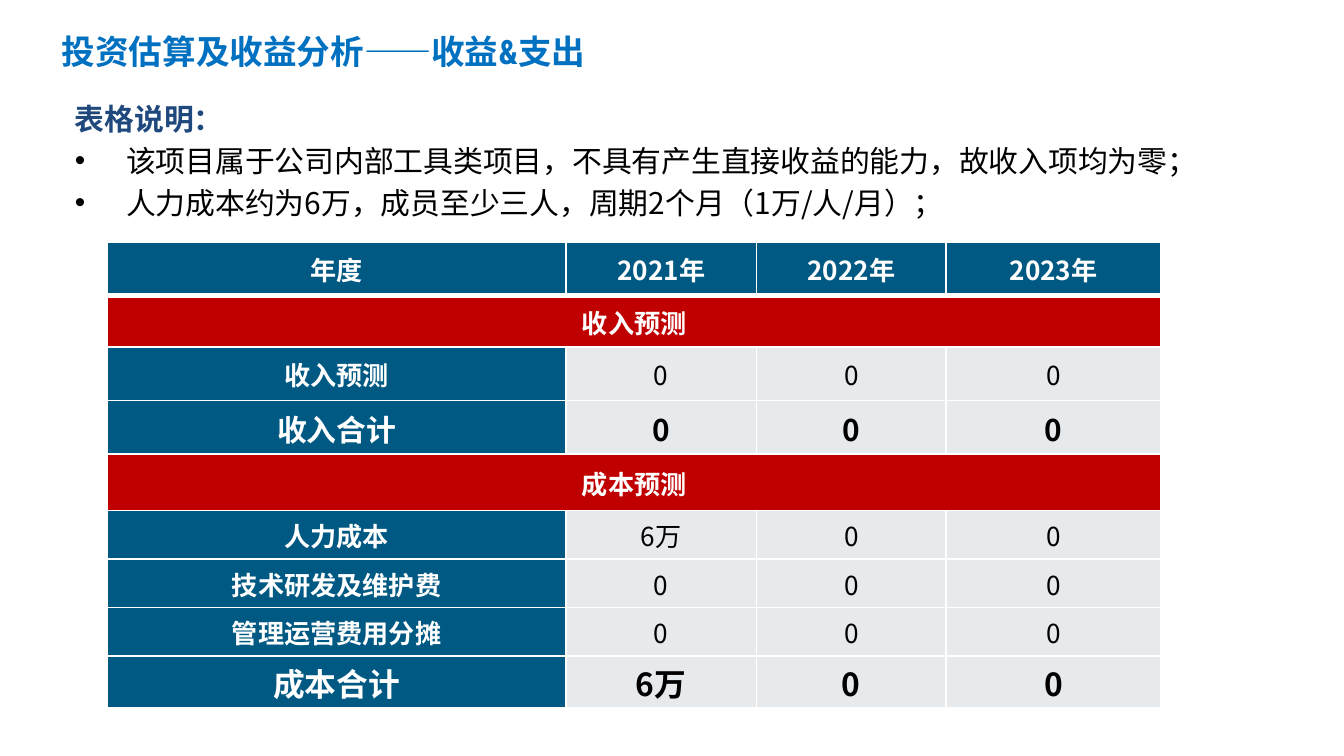
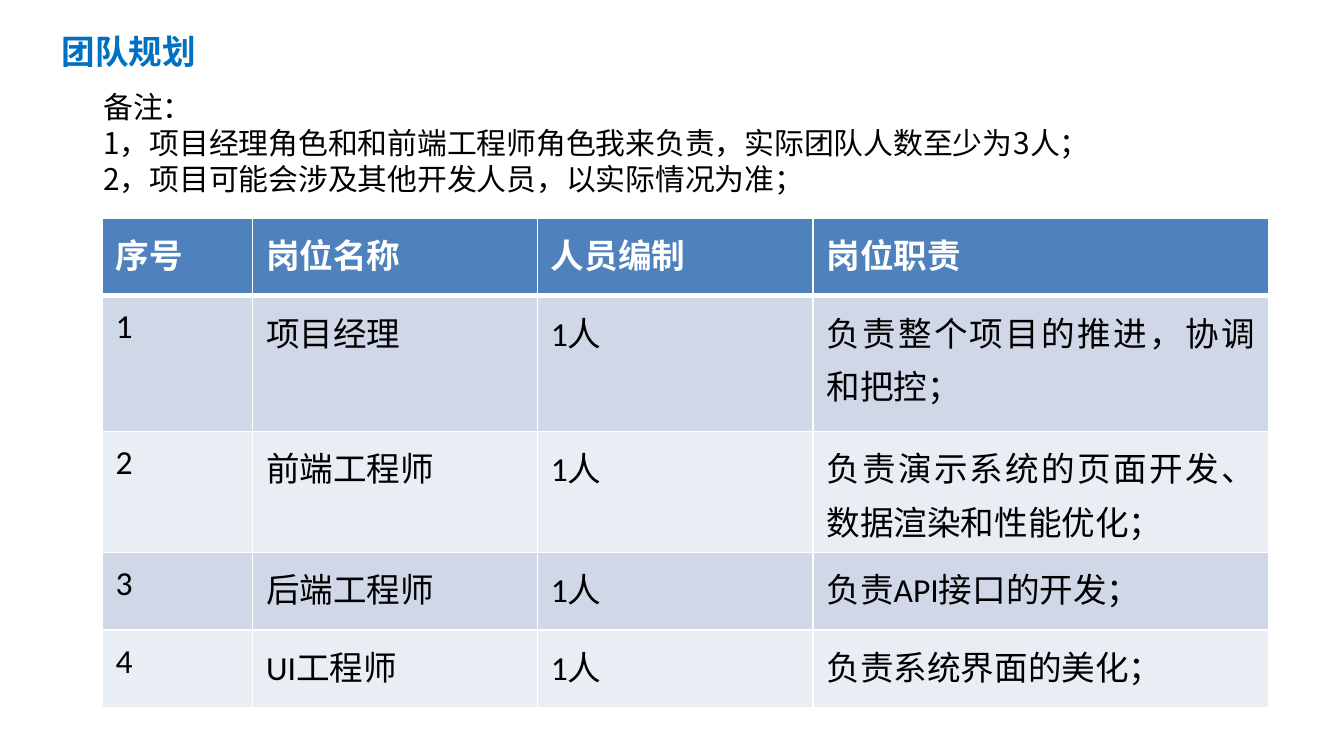
from dataclasses import dataclass

from lxml.etree import SubElement
from pptx import Presentation
from pptx.dml.color import RGBColor
from pptx.enum.text import MSO_ANCHOR, PP_ALIGN
from pptx.oxml.ns import qn
from pptx.util import Inches, Pt


@dataclass(frozen=True)
class Theme:
    title: str = "0070C0"
    heading: str = "1F497D"
    ink: str = "000000"
    white: str = "FFFFFF"
    label: str = "005982"
    section: str = "C00000"
    value: str = "E7EAED"
    team_header: str = "4F81BD"
    team_bands: tuple = ("D0D8E8", "E9EDF4")
    title_font: str = "Roboto Condensed"
    body_font: str = "Noto Sans CJK SC"
    table_font: str = "Calibri"
    large: int = 18
    cost_total: int = 17
    body: int = 16
    cell: int = 14
    body_line: float = 19.2
    paragraph_gap: float = 3.2
    thin: int = 1
    thick: int = 3


@dataclass(frozen=True)
class Style:
    size: int
    font: str
    color: str
    bold: bool = False


class Board:
    COLUMNS = 100
    ROWS = 56.25

    def __init__(self, deck, theme):
        self.deck = deck
        self.theme = theme
        self.page = None

    def across(self, columns):
        return round(self.deck.slide_width * columns / self.COLUMNS)

    def down(self, rows):
        return round(self.deck.slide_height * rows / self.ROWS)

    def area(self, left, top, width, height):
        return self.across(left), self.down(top), self.across(width), self.down(height)

    def start(self, title):
        self.page = self.deck.slides.add_slide(self.deck.slide_layouts[6])
        frame = self.frame(4.6, 2.3, 45.4, 3)
        frame.vertical_anchor = MSO_ANCHOR.MIDDLE
        frame.margin_left = frame.margin_right = frame.margin_top = frame.margin_bottom = 0
        theme = self.theme
        self.set_text(frame.paragraphs[0], title,
                      Style(theme.large, theme.title_font, theme.title, True))

    def frame(self, *place):
        box = self.page.shapes.add_textbox(*self.area(*place))
        box.text_frame.word_wrap = True
        return box.text_frame

    def set_text(self, para, text, style):
        para.add_run().text = text
        para.font.size = Pt(style.size)
        para.font.bold = style.bold
        para.font.name = style.font
        para.font.color.rgb = RGBColor.from_string(style.color)
        defaults = para._p.pPr.find(qn("a:defRPr"))
        SubElement(defaults, qn("a:ea"), typeface=self.theme.body_font)

    def bullet(self, para):
        properties = para._p.get_or_add_pPr()
        indent = self.across(3.8)
        properties.set("marL", str(indent))
        properties.set("indent", str(-indent))
        SubElement(properties, qn("a:buFont"), typeface="Arial")
        SubElement(properties, qn("a:buChar"), char="•")

    def notes(self, place, lines, gap=0):
        frame = self.frame(*place)
        for index, (text, style, bulleted) in enumerate(lines):
            para = frame.add_paragraph() if index else frame.paragraphs[0]
            if bulleted:
                self.bullet(para)
            para.line_spacing = Pt(self.theme.body_line)
            para.space_before = Pt(gap)
            self.set_text(para, text, style)

    def table(self, left, top, widths, heights):
        place = self.area(left, top, sum(widths), sum(heights))
        table = self.page.shapes.add_table(len(heights), len(widths), *place).table
        table.horz_banding = False
        for column, width in zip(table.columns, widths):
            column.width = self.across(width)
        for row, height in zip(table.rows, heights):
            row.height = self.down(height)
        for row_index, row in enumerate(table.rows):
            for cell in row.cells:
                self.borders(cell, row_index)
        return table

    def borders(self, cell, row_index):
        theme = self.theme
        properties = cell._tc.get_or_add_tcPr()
        heavy_edge = {0: "lnB", 1: "lnT"}.get(row_index)
        for edge in ("lnL", "lnR", "lnT", "lnB"):
            width = theme.thick if edge == heavy_edge else theme.thin
            line = SubElement(properties, qn(f"a:{edge}"), w=str(Pt(width)))
            fill = SubElement(line, qn("a:solidFill"))
            SubElement(fill, qn("a:srgbClr"), val=theme.white)

    def cell(self, cell, text, fill, style, align, line_spacing=None):
        cell.fill.solid()
        cell.fill.fore_color.rgb = RGBColor.from_string(fill)
        para = cell.text_frame.paragraphs[0]
        para.alignment = align
        para.line_spacing = line_spacing
        self.set_text(para, text, style)

    def centered_cell(self, cell, text, fill, style):
        cell.vertical_anchor = MSO_ANCHOR.MIDDLE
        cell.margin_left = cell.margin_right = cell.margin_top = Inches(0.01)
        cell.margin_bottom = 0
        self.cell(cell, text, fill, style, PP_ALIGN.CENTER)


def build_budget(board):
    theme = board.theme
    plain = Style(theme.body, theme.body_font, theme.ink)
    heading = Style(theme.body, theme.body_font, theme.heading, True)
    board.start("投资估算及收益分析——收益&支出")
    board.notes((4.6, 7, 88, 10.3), [
        ("表格说明：", heading, False),
        ("该项目属于公司内部工具类项目，不具有产生直接收益的能力，故收入项均为零；", plain, True),
        ("人力成本约为6万，成员至少三人，周期2个月（1万/人/月）；", plain, True),
    ], theme.paragraph_gap)

    zeros = ["0"] * 3
    labor = ["6万", "0", "0"]
    rows = [
        ("header", theme.cell, 4, "年度", ["2021年", "2022年", "2023年"]),
        ("section", theme.cell, 3.8, "收入预测", []),
        ("item", theme.cell, 4, "收入预测", zeros),
        ("total", theme.body, 4, "收入合计", zeros),
        ("section", theme.cell, 4.2, "成本预测", []),
        ("item", theme.cell, 3.6, "人力成本", labor),
        ("item", theme.cell, 3.6, "技术研发及维护费", zeros),
        ("item", theme.cell, 3.6, "管理运营费用分摊", zeros),
        ("total", theme.cost_total, 3.9, "成本合计", labor),
    ]
    cost_start = 4
    table = board.table(8, 18, [34.1, 14.2, 14.1, 16], [row[2] for row in rows])
    for index, (kind, size, _, label, values) in enumerate(rows):
        label_font = theme.table_font if index >= cost_start else theme.body_font
        label_style = Style(size, label_font, theme.white, True)
        label_fill = theme.section if kind == "section" else theme.label
        if kind == "section":
            table.cell(index, 0).merge(table.cell(index, 3))
        board.centered_cell(table.cell(index, 0), label, label_fill, label_style)
        value_style = Style(size, theme.body_font, theme.ink, kind == "total")
        if kind == "header":
            value_style = label_style
        value_fill = theme.label if kind == "header" else theme.value
        for column, value in enumerate(values, 1):
            board.centered_cell(table.cell(index, column), value, value_fill, value_style)


def build_team(board):
    theme = board.theme
    plain = Style(theme.body, theme.body_font, theme.ink)
    board.start("团队规划")
    board.notes((6.7, 6.1, 88.2, 9.1), [
        ("备注：", plain, False),
        ("1，项目经理角色和和前端工程师角色我来负责，实际团队人数至少为3人；", plain, False),
        ("2，项目可能会涉及其他开发人员，以实际情况为准；", plain, False),
    ])

    roles = [
        ("项目经理", "负责整个项目的推进，协调和把控；"),
        ("前端工程师", "负责演示系统的页面开发、数据渲染和性能优化；"),
        ("后端工程师", "负责API接口的开发；"),
        ("UI工程师", "负责系统界面的美化；"),
    ]
    rows = [("序号", "岗位名称", "人员编制", "岗位职责")]
    rows += [(str(number), role, "1人", duty) for number, (role, duty) in enumerate(roles, 1)]
    table = board.table(7.6, 16.2, [11.2, 21.2, 20.5, 33.9], [5.8, 10.1, 9, 5.8, 5.8])
    for index, texts in enumerate(rows):
        header = index == 0
        fill = theme.team_header if header else theme.team_bands[(index - 1) % 2]
        color = theme.white if header else theme.ink
        style = Style(theme.large, theme.table_font, color, header)
        for column, text in enumerate(texts):
            role_name = column == 1 and not header
            align = PP_ALIGN.LEFT if role_name else PP_ALIGN.JUSTIFY
            board.cell(table.cell(index, column), text, fill, style, align, 1.1)


def main():
    deck = Presentation()
    deck.slide_width = Inches(10)
    deck.slide_height = Inches(5.625)
    board = Board(deck, Theme())
    build_budget(board)
    build_team(board)
    deck.save("out.pptx")


if __name__ == "__main__":
    main()
